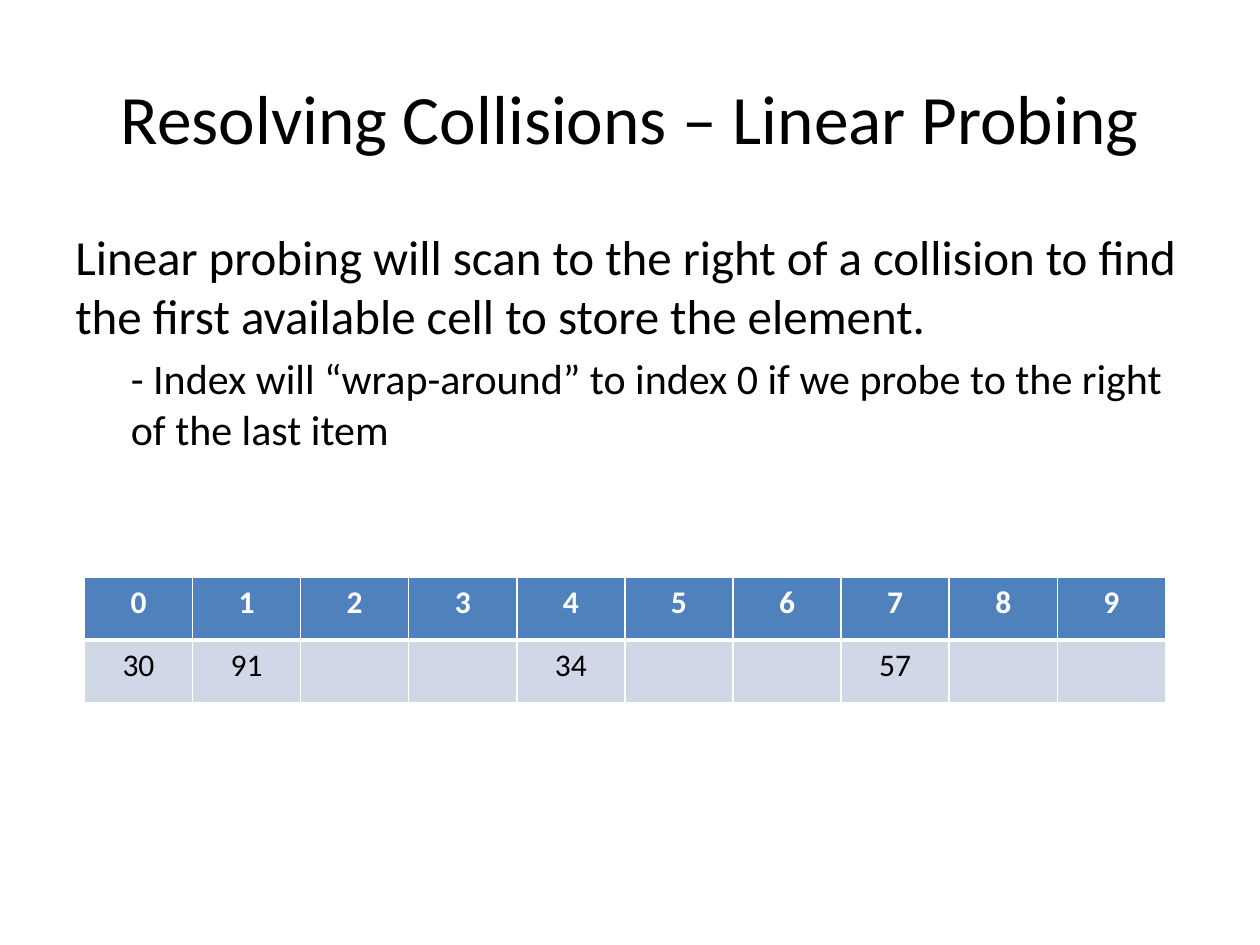
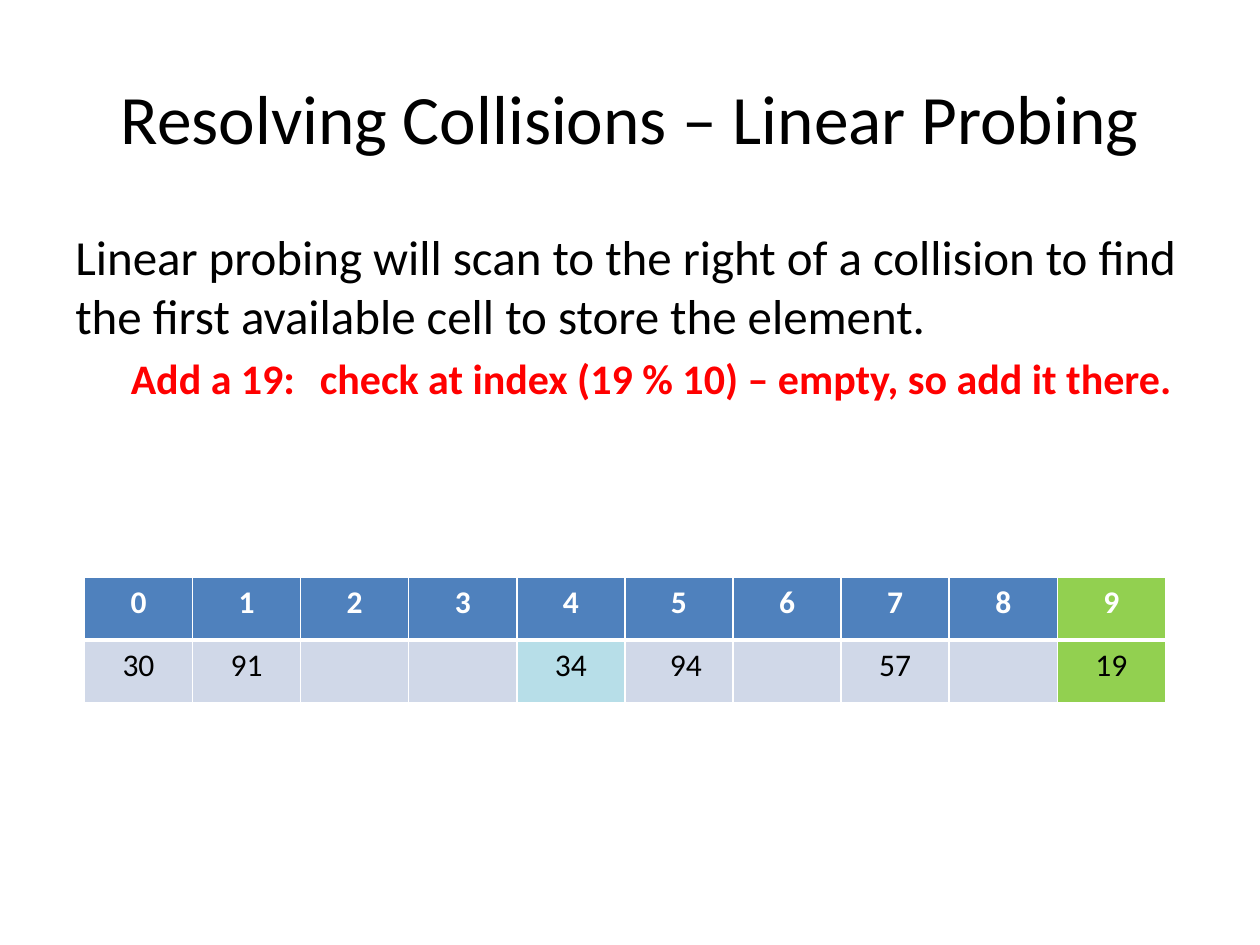
from lxml.etree import SubElement
from pptx import Presentation
from pptx.dml.color import RGBColor
from pptx.enum.text import MSO_ANCHOR, PP_ALIGN
from pptx.oxml.ns import qn
from pptx.util import Inches, Pt

FONT = "Calibri"
BLACK, WHITE, RED = "000000", "FFFFFF", "FF0000"
HEADER_BLUE, CELL_GREY = "4F81BD", "D0D8E8"
PROBED_TEAL, ADDED_GREEN = "B7DEE8", "92D050"

TITLE = "Resolving Collisions – Linear Probing"
RULE = ("Linear probing will scan to the right of a collision "
        "to find the first available cell to store the element.")
TITLE_BOX = (0.5, 0.3, 9, 1.25)
BODY_BOX = (0.5, 1.75, 9, 4.95)
TABLE_BOX = (0.67, 4.58, 8.58, 1)
BUCKETS = 10


def color(hex_value):
    return RGBColor.from_string(hex_value)


def write(paragraph, text, size=18, ink=BLACK, bold=False,
          align=PP_ALIGN.LEFT, indent=0, space=0):
    paragraph.alignment = align
    paragraph.space_before = Pt(space)
    if indent:
        paragraph.level = 1
        properties = paragraph._p.get_or_add_pPr()
        properties.set("marL", str(Inches(indent)))
        properties.set("indent", "0")
    run = paragraph.add_run()
    run.text = text
    run.font.name = FONT
    run.font.size = Pt(size)
    run.font.bold = bold
    run.font.color.rgb = color(ink)


def add_frame(slide, box, anchor):
    frame = slide.shapes.add_textbox(*map(Inches, box)).text_frame
    frame.word_wrap = True
    frame.vertical_anchor = anchor
    return frame


def add_title(slide, box):
    frame = add_frame(slide, box, MSO_ANCHOR.MIDDLE)
    write(frame.paragraphs[0], TITLE, size=39.6, align=PP_ALIGN.CENTER)


def add_explanation(slide, box, detail, **detail_format):
    frame = add_frame(slide, box, MSO_ANCHOR.TOP)
    write(frame.paragraphs[0], RULE, size=28, space=5.6)
    write(frame.add_paragraph(), detail, size=24, indent=0.44, space=4.8,
          **detail_format)


def set_borders(cell, **widths):
    properties = cell._tc.get_or_add_tcPr()
    for side in "LRTB":
        line = SubElement(properties, qn(f"a:ln{side}"),
                          w=str(Pt(widths.get(side, 1))))
        fill = SubElement(line, qn("a:solidFill"))
        SubElement(fill, qn("a:srgbClr"), val=WHITE)


def fill_cell(cell, text, background, **text_format):
    cell.fill.solid()
    cell.fill.fore_color.rgb = color(background)
    if text:
        write(cell.text_frame.paragraphs[0], text,
              align=PP_ALIGN.CENTER, **text_format)


def add_hash_table(slide, box, stored, probed=None, added=None, shifted=None):
    left, top, width, height = box
    table = slide.shapes.add_table(2, BUCKETS, *map(Inches, box)).table
    for row in table.rows:
        row.height = Inches(height / 2)
    for index in range(BUCKETS):
        table.columns[index].width = Inches(width / BUCKETS)
        header, value = table.cell(0, index), table.cell(1, index)
        set_borders(header, B=3)
        set_borders(value, T=3)
        header_fill, value_fill = HEADER_BLUE, CELL_GREY
        if index == added:
            header_fill = value_fill = ADDED_GREEN
        elif index == probed:
            value_fill = PROBED_TEAL
        if index == shifted:
            value.margin_left = Inches(0.21)
        fill_cell(header, str(index), header_fill, ink=WHITE, bold=True)
        fill_cell(value, str(stored.get(index, "")), value_fill)


def add_probing_slide(deck, detail, stored, detail_format=None, **marks):
    slide = deck.slides.add_slide(deck.slide_layouts[6])
    add_title(slide, TITLE_BOX)
    add_explanation(slide, BODY_BOX, detail, **(detail_format or {}))
    add_hash_table(slide, TABLE_BOX, stored, **marks)


def main():
    deck = Presentation()
    deck.slide_width, deck.slide_height = Inches(10), Inches(7.5)
    stored = {0: 30, 1: 91, 4: 34, 7: 57}
    add_probing_slide(
        deck,
        "- Index will “wrap-around” to index 0 if we probe "
        "to the right of the last item",
        stored)
    add_probing_slide(
        deck,
        "Add a 19:\tcheck at index (19 % 10) – empty, so add it there.",
        {**stored, 5: 94, 9: 19},
        detail_format={"ink": RED, "bold": True},
        probed=4, added=9, shifted=5)
    deck.save("out.pptx")


if __name__ == "__main__":
    main()
